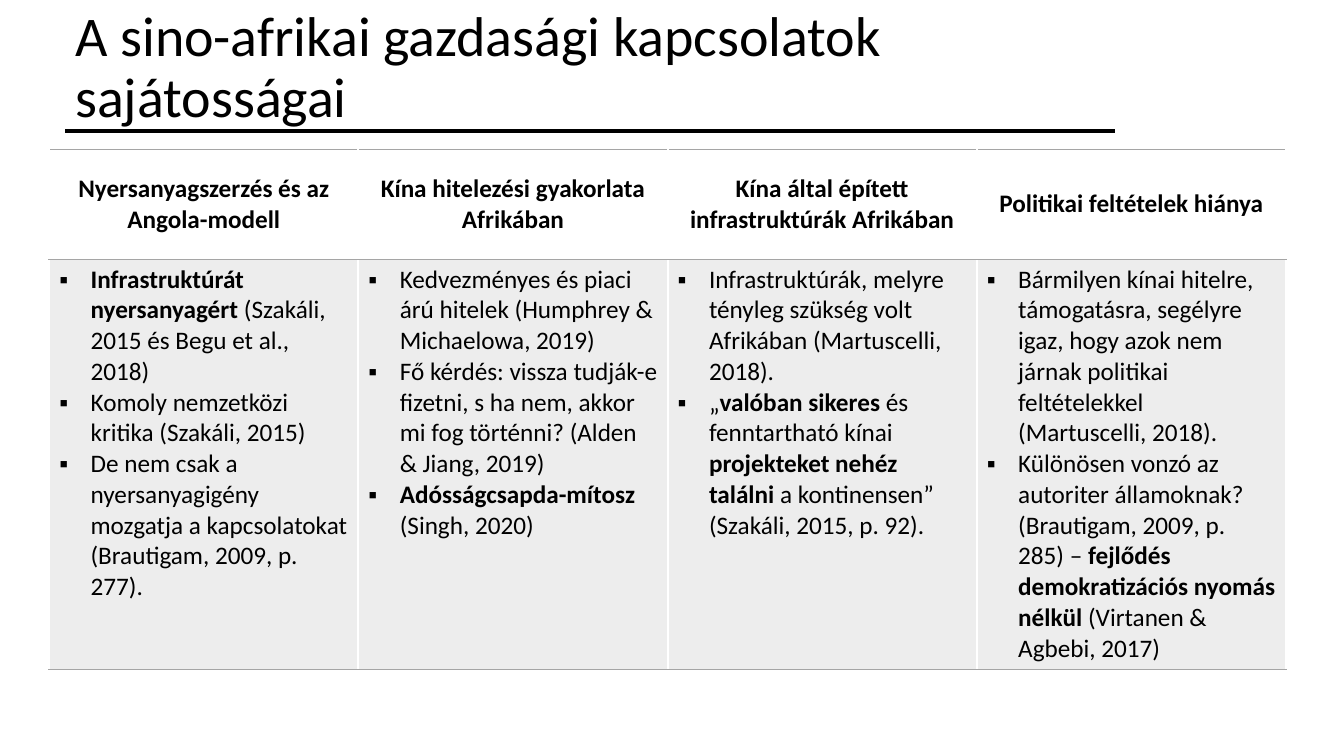
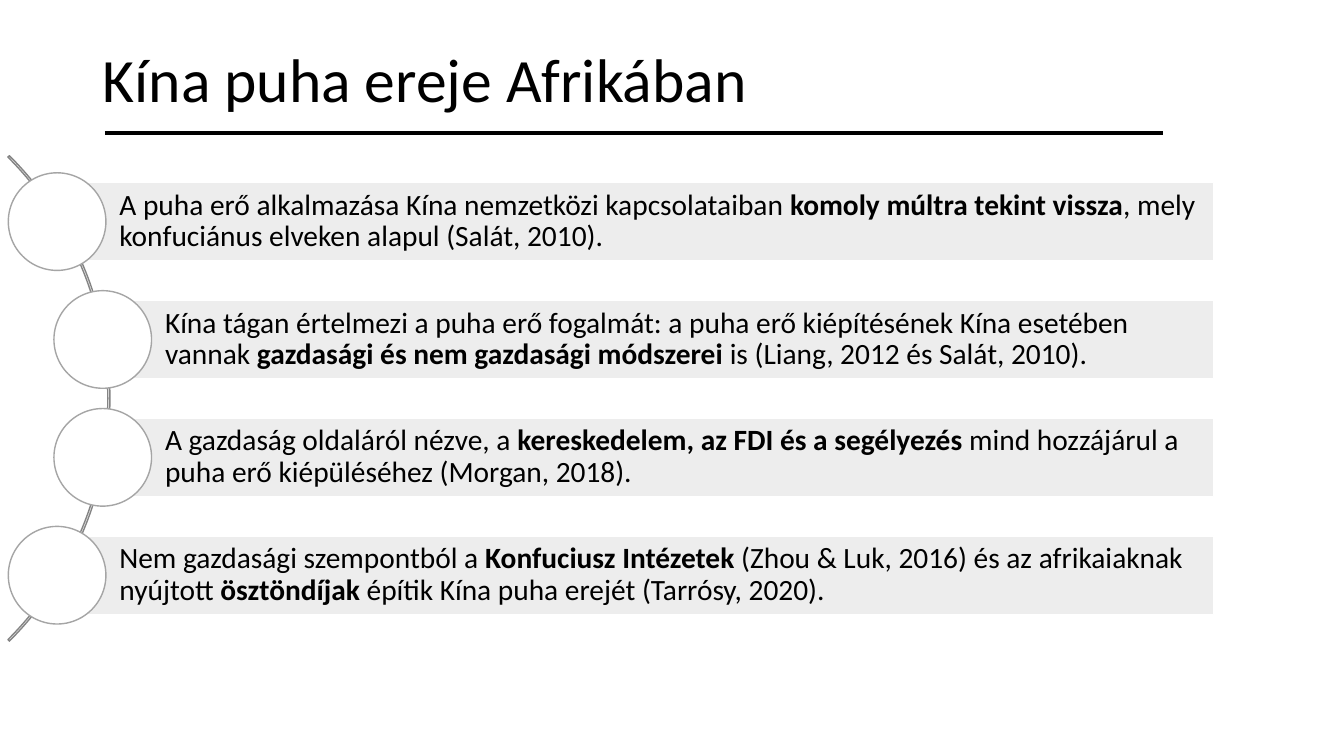
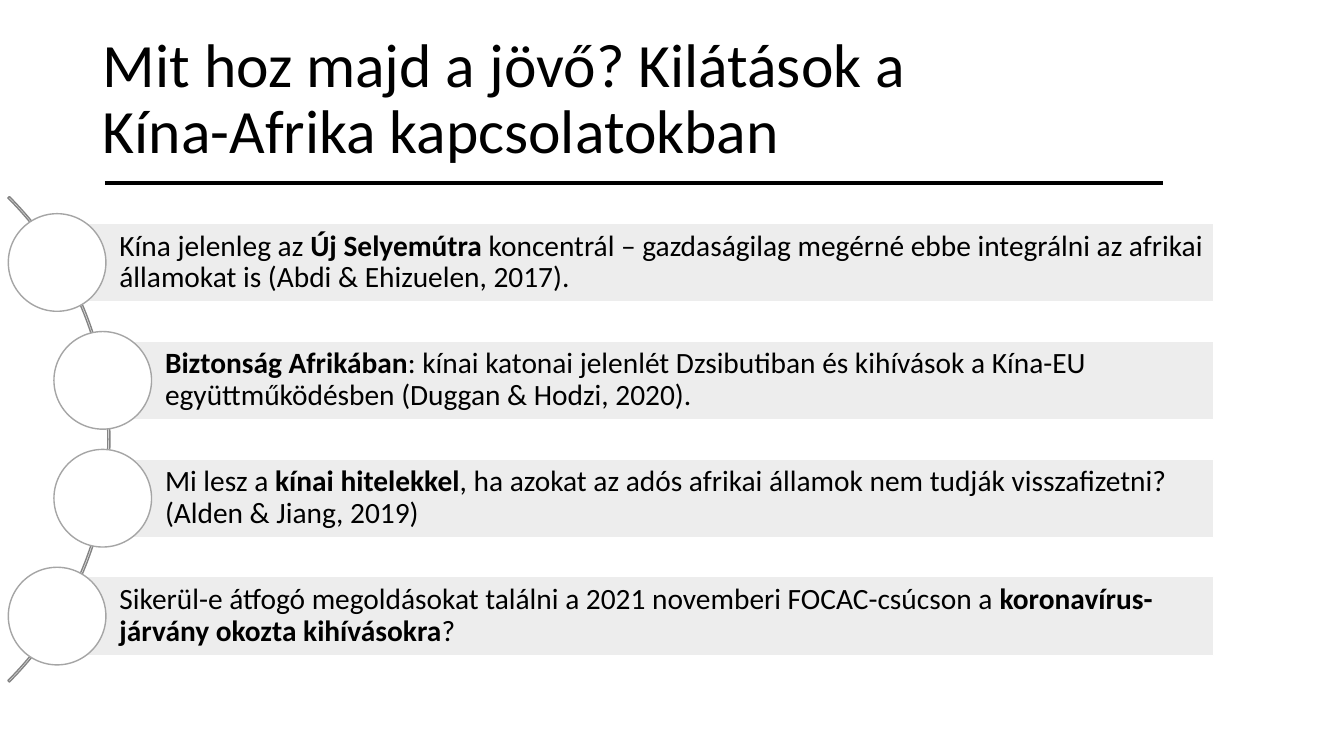
import lxml.etree
import pptx
import pptx.dml.color
import pptx.enum.shapes
import pptx.enum.text
import pptx.oxml.ns
import pptx.util

Cm = pptx.util.Cm
Pt = pptx.util.Pt
SHAPES = pptx.enum.shapes.MSO_SHAPE
MIDDLE = pptx.enum.text.MSO_ANCHOR.MIDDLE
TOP = pptx.enum.text.MSO_ANCHOR.TOP
LEFT = pptx.enum.text.PP_ALIGN.LEFT
CENTER = pptx.enum.text.PP_ALIGN.CENTER

FONT = "Calibri"
BLACK, WHITE = "000000", "FFFFFF"
PALE, GRAY, DARK_GRAY = "EDEDED", "A5A5A5", "848484"

# Text between asterisks is bold.
TABLE_SLIDE = {
    "title": "A sino-afrikai gazdasági kapcsolatok\nsajátosságai",
    "columns": [
        ("Nyersanyagszerzés és az Angola-modell", [
            "*Infrastruktúrát nyersanyagért* (Szakáli, 2015 és Begu et al., 2018)",
            "Komoly nemzetközi kritika (Szakáli, 2015)",
            "De nem csak a nyersanyagigény mozgatja a kapcsolatokat "
            "(Brautigam, 2009, p. 277).",
        ]),
        ("Kína hitelezési gyakorlata Afrikában", [
            "Kedvezményes és piaci árú hitelek (Humphrey & Michaelowa, 2019)",
            "Fő kérdés: vissza tudják-e fizetni, s ha nem, akkor mi fog történni? "
            "(Alden & Jiang, 2019)",
            "*Adósságcsapda-mítosz* (Singh, 2020)",
        ]),
        ("Kína által épített infrastruktúrák Afrikában", [
            "Infrastruktúrák, melyre tényleg szükség volt Afrikában "
            "(Martuscelli, 2018).",
            "„*valóban sikeres* és fenntartható kínai *projekteket nehéz találni* "
            "a kontinensen” (Szakáli, 2015, p. 92).",
        ]),
        ("Politikai feltételek hiánya", [
            "Bármilyen kínai hitelre, támogatásra, segélyre igaz, hogy azok nem "
            "járnak politikai feltételekkel (Martuscelli, 2018).",
            "Különösen vonzó az autoriter államoknak? (Brautigam, 2009, p. 285) – "
            "*fejlődés demokratizációs nyomás nélkül* (Virtanen & Agbebi, 2017)",
        ]),
    ],
}
ARC_SLIDES = [
    {
        "title": "Kína puha ereje Afrikában",
        "title_top": 0.23, "rule_top": 3.35, "list_middle": 10.04,
        "points": [
            "A puha erő alkalmazása Kína nemzetközi kapcsolataiban *komoly múltra "
            "tekint vissza*, mely konfuciánus elveken alapul (Salát, 2010).",
            "Kína tágan értelmezi a puha erő fogalmát: a puha erő kiépítésének Kína "
            "esetében vannak *gazdasági és nem gazdasági módszerei* is "
            "(Liang, 2012 és Salát, 2010).",
            "A gazdaság oldaláról nézve, a *kereskedelem, az FDI és a segélyezés* "
            "mind hozzájárul a puha erő kiépüléséhez (Morgan, 2018).",
            "Nem gazdasági szempontból a *Konfuciusz Intézetek* (Zhou & Luk, 2016) "
            "és az afrikaiaknak nyújtott *ösztöndíjak* építik Kína puha erejét "
            "(Tarrósy, 2020).",
        ],
    },
    {
        "title": "Mit hoz majd a jövő? Kilátások a\nKína-Afrika kapcsolatokban",
        "title_top": 0.69, "rule_top": 4.62, "list_middle": 11.07,
        "points": [
            "Kína jelenleg az *Új Selyemútra* koncentrál – gazdaságilag megérné ebbe "
            "integrálni az afrikai államokat is (Abdi & Ehizuelen, 2017).",
            "*Biztonság Afrikában*: kínai katonai jelenlét Dzsibutiban és kihívások a "
            "Kína-EU együttműködésben (Duggan & Hodzi, 2020).",
            "Mi lesz a *kínai hitelekkel*, ha azokat az adós afrikai államok nem "
            "tudják visszafizetni? (Alden & Jiang, 2019)",
            "Sikerül-e átfogó megoldásokat találni a 2021 novemberi FOCAC-csúcson a "
            "*koronavírus-járvány okozta kihívásokra*?",
        ],
    },
]

TITLE_HEIGHT = 3.68
TABLE_LEFT, TABLE_TOP, TABLE_WIDTH = 1.24, 3.76, 31.17
HEADER_HEIGHT, BODY_HEIGHT = 2.77, 10.34
BULLET_INDENT = 0.79
ARC_SIZE, ARC_RIGHT = 17.3, 2.77
CIRCLE_SIZE, CIRCLE_CENTERS = 2.46, [1.44, 2.59, 2.59, 1.44]
BAR_HEIGHT, BAR_PITCH, BAR_RIGHT = 1.98, 2.97, 30.58


def color(value):
    return pptx.dml.color.RGBColor.from_string(value)


def add_child(parent, tag, **attributes):
    return lxml.etree.SubElement(parent, pptx.oxml.ns.qn(tag), attributes)


def write(paragraph, text, size, bold=False, align=LEFT):
    """Add the text run by run; asterisks switch bold, a newline breaks the line."""
    paragraph.alignment = align
    for part_number, part in enumerate(text.split("*")):
        for line_number, line in enumerate(part.split("\n")):
            if line_number:
                paragraph.add_line_break()
            if line:
                run = paragraph.add_run()
                run.text = line
                run.font.name = FONT
                run.font.size = Pt(size)
                run.font.bold = bold or part_number % 2 == 1
                run.font.color.rgb = color(BLACK)


def add_title(slide, text, size, left, top, width, rule):
    """Add the title and the rule below it, given as (left, right, top)."""
    box = slide.shapes.add_textbox(Cm(left), Cm(top), Cm(width), Cm(TITLE_HEIGHT))
    frame = box.text_frame
    frame.word_wrap = True
    frame.vertical_anchor = MIDDLE
    frame.paragraphs[0].line_spacing = 0.9
    write(frame.paragraphs[0], text, size)

    rule_left, rule_right, rule_top = rule
    line = slide.shapes.add_connector(
        pptx.enum.shapes.MSO_CONNECTOR.STRAIGHT,
        Cm(rule_left), Cm(rule_top), Cm(rule_right), Cm(rule_top))
    line.line.color.rgb = color(BLACK)
    line.line.width = Pt(3)
    add_child(line._element.spPr, "a:effectLst")


def add_shape(slide, kind, left, top, width, height, fill, outline):
    shape = slide.shapes.add_shape(kind, Cm(left), Cm(top), Cm(width), Cm(height))
    shape.shadow.inherit = False
    if fill:
        shape.fill.solid()
        shape.fill.fore_color.rgb = color(fill)
    else:
        shape.fill.background()
    shape.line.color.rgb = color(outline)
    shape.line.width = Pt(1)
    return shape


def add_bullet(paragraph):
    properties = paragraph._p.get_or_add_pPr()
    properties.set("marL", str(Cm(BULLET_INDENT)))
    properties.set("indent", str(-Cm(BULLET_INDENT)))
    add_child(properties, "a:buFont", typeface="Arial")
    add_child(properties, "a:buChar", char="▪")


def set_borders(cell):
    """Draw gray lines above and below, white ones at the sides."""
    properties = cell._tc.get_or_add_tcPr()
    for side, line_color, width in [("L", WHITE, 1.5), ("R", WHITE, 1.5),
                                    ("T", GRAY, 1), ("B", GRAY, 1)]:
        border = add_child(properties, "a:ln" + side, w=str(Pt(width)))
        add_child(add_child(border, "a:solidFill"), "a:srgbClr", val=line_color)


def build_table_slide(slide, content):
    add_title(slide, content["title"], 40, 1.65, -0.1, TABLE_WIDTH, (1.65, 28.09, 3.3))
    columns = content["columns"]
    table = slide.shapes.add_table(
        2, len(columns), Cm(TABLE_LEFT), Cm(TABLE_TOP),
        Cm(TABLE_WIDTH), Cm(HEADER_HEIGHT + BODY_HEIGHT)).table
    table.first_row = table.horz_banding = False
    table.rows[0].height = Cm(HEADER_HEIGHT)
    table.rows[1].height = Cm(BODY_HEIGHT)

    for column, (heading, points) in enumerate(columns):
        header, body = table.cell(0, column), table.cell(1, column)
        for cell in (header, body):
            set_borders(cell)
        header.fill.background()
        header.vertical_anchor = MIDDLE
        write(header.text_frame.paragraphs[0], heading, 18, bold=True, align=CENTER)

        body.fill.solid()
        body.fill.fore_color.rgb = color(PALE)
        body.vertical_anchor = TOP
        frame = body.text_frame
        for number, point in enumerate(points):
            paragraph = frame.add_paragraph() if number else frame.paragraphs[0]
            write(paragraph, point, 18)
            add_bullet(paragraph)


def build_arc_slide(slide, content):
    add_title(slide, content["title"], 44, 2.34, content["title_top"], 29.21,
              (2.64, 29.31, content["rule_top"]))
    middle = content["list_middle"]
    arc = add_shape(slide, SHAPES.BLOCK_ARC, ARC_RIGHT - ARC_SIZE,
                    middle - ARC_SIZE / 2, ARC_SIZE, ARC_SIZE, None, DARK_GRAY)
    for number, value in enumerate([189, 27, 0.003]):
        arc.adjustments[number] = value

    points = content["points"]
    first_center = middle - BAR_PITCH * (len(points) - 1) / 2
    for number, (point, center_x) in enumerate(zip(points, CIRCLE_CENTERS)):
        center_y = first_center + number * BAR_PITCH
        bar = add_shape(slide, SHAPES.RECTANGLE, center_x, center_y - BAR_HEIGHT / 2,
                        BAR_RIGHT - center_x, BAR_HEIGHT, PALE, WHITE)
        frame = bar.text_frame
        frame.word_wrap = True
        frame.vertical_anchor = MIDDLE
        frame.margin_left = Cm(1.57)
        frame.margin_top = frame.margin_right = frame.margin_bottom = Cm(0.15)
        frame.paragraphs[0].line_spacing = 0.9
        write(frame.paragraphs[0], point, 21)
        add_shape(slide, SHAPES.OVAL, center_x - CIRCLE_SIZE / 2,
                  center_y - CIRCLE_SIZE / 2, CIRCLE_SIZE, CIRCLE_SIZE, WHITE, GRAY)


def main():
    presentation = pptx.Presentation()
    presentation.slide_width = Cm(33.87)
    presentation.slide_height = Cm(19.05)
    blank = presentation.slide_layouts[6]
    build_table_slide(presentation.slides.add_slide(blank), TABLE_SLIDE)
    for content in ARC_SLIDES:
        build_arc_slide(presentation.slides.add_slide(blank), content)
    presentation.save("out.pptx")


if __name__ == "__main__":
    main()
